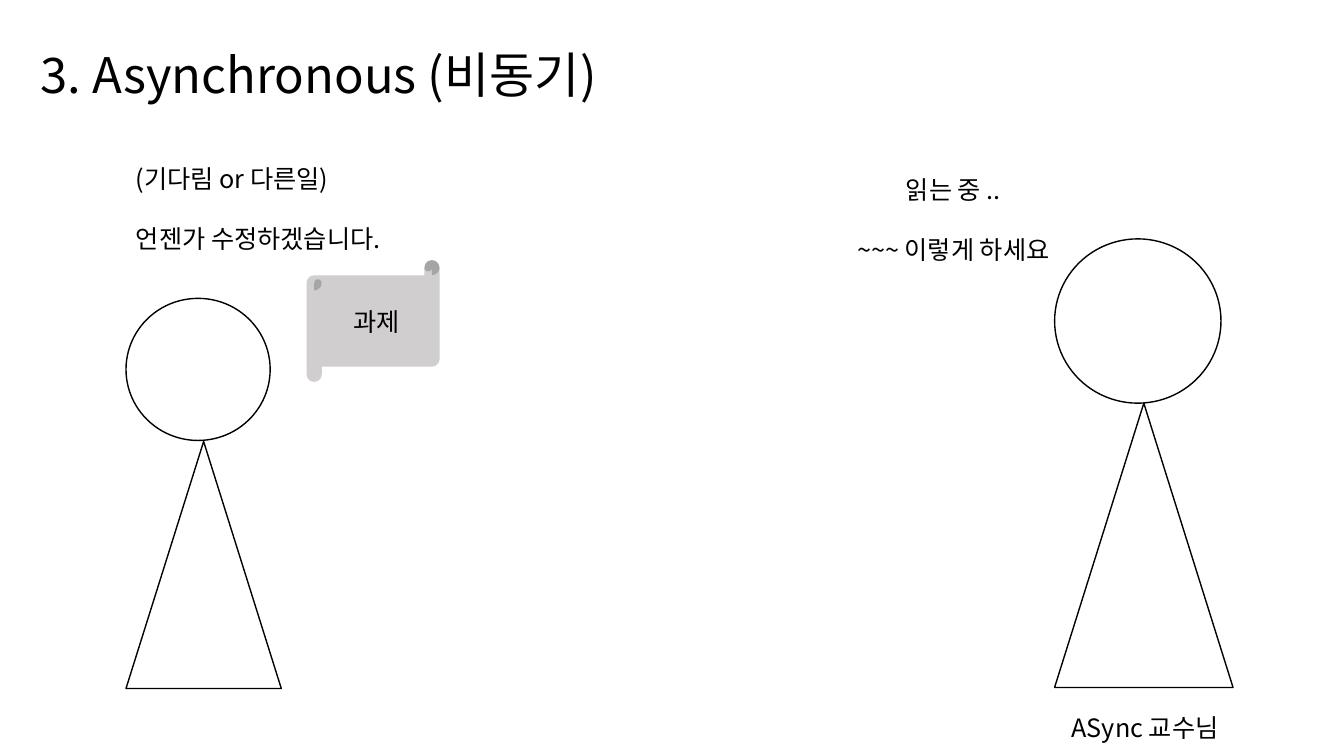
import pptx
import pptx.util
import pptx.dml.color
import pptx.enum.shapes
import pptx.enum.text
import lxml.etree
import pptx.oxml.ns

# Content; boxes are (left, top, width, height) in px, 100 px to the inch
PX = 9144
FONT = "Noto Sans CJK KR"
COLORS = {"ink": "000000", "paper": "FFFFFF", "scroll": "D0CECE"}
TITLE = ("3. Asynchronous (비동기)", (30, 34, 1193, 69))
FIGURES = [  # head box, body box
    ((1046, 237, 165, 163), (1046, 400, 177, 282)),
    ((125, 296, 143, 141), (125, 438, 154, 245)),
]
LEFT, CENTER = pptx.enum.text.PP_ALIGN.LEFT, pptx.enum.text.PP_ALIGN.CENTER
REMARKS = [
    (["ASync 교수님"], (1053, 700, 204, 40), LEFT),
    (["읽는 중 ..", "~~~ 이렇게 하세요"], (789, 166, 313, 101), CENTER),
    (["(기다림 or 다른일)", "언젠가 수정하겠습니다."], (125, 155, 286, 101), LEFT),
]
ASSIGNMENT = ("과제", (304, 258, 132, 121))
TITLE_SIZE, BODY_SIZE = 35, 18
TITLE_LINE, BODY_LINE, REMARK_GAP = 46, 23, 20


def emu(box):
    return [value * PX for value in box]


def color(name):
    return pptx.dml.color.RGBColor.from_string(COLORS[name])


def write(frame, lines, size, align, line_height=None):
    frame.word_wrap = True
    frame.text = "\n".join(lines)
    for number, paragraph in enumerate(frame.paragraphs):
        paragraph.alignment = align
        if line_height:
            paragraph.line_spacing = pptx.util.Pt(line_height)
        paragraph.space_before = pptx.util.Pt(REMARK_GAP if number else 0)
        for run in paragraph.runs:
            run.font.size = pptx.util.Pt(size)
            run.font.color.rgb = color("ink")
            run.font.name = FONT
            east_asian = lxml.etree.SubElement(
                run.font._element, pptx.oxml.ns.qn("a:ea"))
            east_asian.set("typeface", FONT)


def add_form(kind, box, fill, outlined):
    form = slide.shapes.add_shape(kind, *emu(box))
    form.shadow.inherit = False
    form.fill.solid()
    form.fill.fore_color.rgb = color(fill)
    if outlined:
        form.line.color.rgb = color("ink")
        form.line.width = pptx.util.Pt(1)
    else:
        form.line.fill.background()
    return form


deck = pptx.Presentation()
deck.slide_width, deck.slide_height = 1333 * PX, 750 * PX
slide = deck.slides.add_slide(deck.slide_layouts[5])

# Title
title = slide.shapes.title
title.left, title.top, title.width, title.height = emu(TITLE[1])
title.text_frame.vertical_anchor = pptx.enum.text.MSO_ANCHOR.TOP
write(title.text_frame, [TITLE[0]], TITLE_SIZE, LEFT, TITLE_LINE)

# Two people, each a round head on a triangular body
SHAPES = pptx.enum.shapes.MSO_SHAPE
for head, body in FIGURES:
    add_form(SHAPES.OVAL, head, "paper", True)
    add_form(SHAPES.ISOSCELES_TRIANGLE, body, "paper", True)

# Remarks
for lines, box, align in REMARKS:
    remark = slide.shapes.add_textbox(*emu(box))
    write(remark.text_frame, lines, BODY_SIZE, align, BODY_LINE)

# Assignment scroll
scroll = add_form(SHAPES.HORIZONTAL_SCROLL, ASSIGNMENT[1], "scroll", False)
scroll.text_frame.vertical_anchor = pptx.enum.text.MSO_ANCHOR.MIDDLE
write(scroll.text_frame, [ASSIGNMENT[0]], BODY_SIZE, CENTER)

deck.save("out.pptx")
